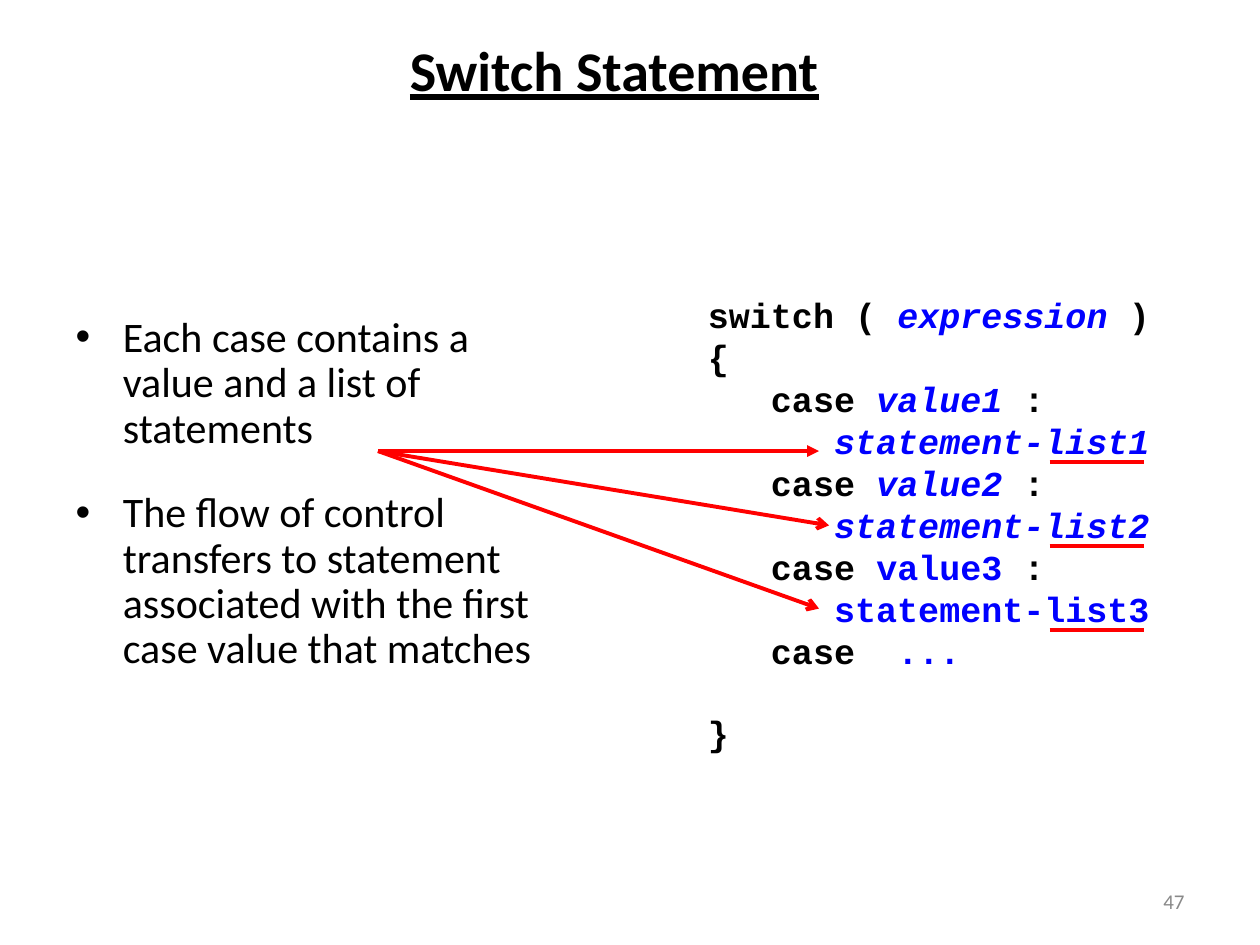
from pptx import Presentation
from pptx.dml.color import RGBColor as Rgb
from pptx.enum.shapes import MSO_CONNECTOR as Line
from pptx.enum.text import MSO_ANCHOR as Anchor, MSO_AUTO_SIZE as Fit, PP_ALIGN as Align
from pptx.oxml.ns import qn
from pptx.util import Pt
from lxml.etree import SubElement as Sub

PX = 9144
HUES = {"ink": "000000", "blue": "0000FF", "red": "FF0000", "gray": "898989"}
HEAD = {"name": "Calibri", "size": Pt(32), "bold": True, "underline": True}
BODY = {"name": "Calibri", "size": Pt(24)}
MONO = {"name": "Courier New", "size": Pt(20), "bold": True}
FOOT = {"name": "Calibri", "size": Pt(12)}
POINTS = [
    "Each case contains a value and a list of statements",
    "The flow of control transfers to statement associated with the first case value that matches",
]


def put(item, vals):
    """Set each attribute of an item from a dict of values."""
    for key, val in vals.items():
        setattr(item, key, val)


def dress(font, look, hue="ink"):
    """Give a font its format and colour."""
    put(font, look)
    font.color.rgb = Rgb.from_string(HUES[hue])


def place(shape, box):
    """Move a shape to a box given in px."""
    put(shape, dict(zip(("left", "top", "width", "height"), (n * PX for n in box))))


def title(slide, box):
    """Fill the title placeholder."""
    shape = slide.shapes.title
    place(shape, box)
    frame = shape.text_frame
    put(frame, {"text": "Switch Statement", "vertical_anchor": Anchor.TOP, "auto_size": Fit.NONE})
    para = frame.paragraphs[0]
    para.alignment = Align.CENTER
    dress(para.runs[0].font, HEAD)


def points(slide, box):
    """Fill the body placeholder with the bullet list."""
    shape = slide.placeholders[1]
    place(shape, box)
    frame = shape.text_frame
    put(frame, {"text": "\n".join(POINTS), "auto_size": Fit.NONE})
    for num, para in enumerate(frame.paragraphs):
        put(para, {"line_spacing": 0.9, "space_before": Pt(22.5 if num else 0)})
        dress(para.runs[0].font, BODY)


def text(slide, box, wrap):
    """Add a text box centred on its height and return its frame."""
    shape = slide.shapes.add_textbox(*(n * PX for n in box))
    frame = shape.text_frame
    put(frame, {"word_wrap": wrap, "vertical_anchor": Anchor.MIDDLE})
    return frame


def rows():
    """Return the code lines as lists of text, hue and slant."""
    out = [
        [("switch ( ", "ink", False), ("expression", "blue", True), (" )", "ink", False)],
        [("{", "ink", False)],
    ]
    for num in (1, 2, 3):
        slant = num < 3
        out += [
            [("   case ", "ink", False), (f"value{num}", "blue", slant), (" :", "ink", False)],
            [("      ", "ink", False), (f"statement-list{num}", "blue", slant)],
        ]
    return out + [
        [("   case  ", "ink", False), ("...", "blue", False)],
        [("}", "ink", False)],
    ]


def code(slide, box):
    """Write the code sample with a gap above its last line."""
    frame = text(slide, box, False)
    for num, row in enumerate(rows()):
        para = frame.add_paragraph() if num else frame.paragraphs[0]
        for word, hue, slant in row:
            run = para.add_run()
            run.text = word
            dress(run.font, MONO | {"italic": slant}, hue)
    para.space_before = Pt(22.7)


def rule(slide, start, end, tip=None):
    """Draw a red line with an optional arrowhead."""
    wire = slide.shapes.add_connector(Line.STRAIGHT, *(n * PX for n in start + end))
    wire.line.color.rgb = Rgb.from_string(HUES["red"])
    wire.line.width = Pt(2.25)
    if tip:
        Sub(wire.line._get_or_add_ln(), qn("a:tailEnd"), type=tip)
    Sub(wire._element.spPr, qn("a:effectLst"))


def marks(slide, x, y):
    """Fan arrows out to the statement lists and underline each list."""
    for dx, dy, tip in ((350, 0, "triangle"), (358, 59, "arrow"), (350, 125, "arrow")):
        rule(slide, (x, y), (x + dx, y + dy), tip)
    for num in range(3):
        base = y + 9 + round(num * 66.5)
        rule(slide, (x + 533, base), (x + 608, base))


def number(slide, box):
    """Write the slide number."""
    para = text(slide, box, True).paragraphs[0]
    para.alignment = Align.RIGHT
    run = para.add_run()
    run.text = "47"
    dress(run.font, FOOT, "gray")


def main():
    """Build the slide and save it."""
    deck = Presentation()
    put(deck, {"slide_width": 1000 * PX, "slide_height": 750 * PX})
    slide = deck.slides.add_slide(deck.slide_layouts[1])
    title(slide, (21, 23, 933, 91))
    points(slide, (50, 246, 383, 475))
    code(slide, (552, 227, 371, 377))
    marks(slide, 300, 358)
    number(slide, (717, 695, 233, 40))
    deck.save("out.pptx")


if __name__ == "__main__":
    main()
